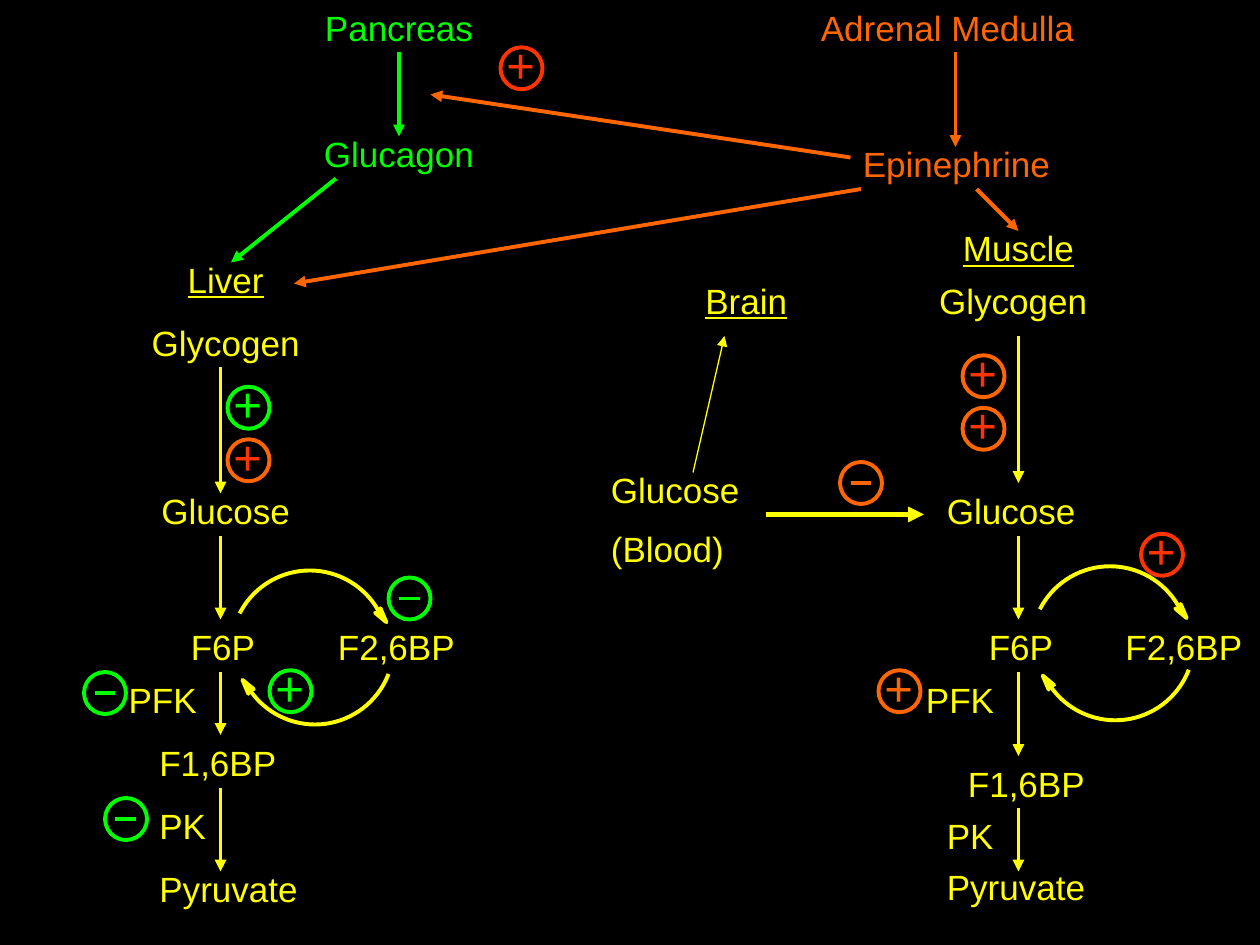
from dataclasses import dataclass
from math import cos, radians, sin
from typing import Any

from pptx import Presentation
from pptx.dml.color import RGBColor
from pptx.enum.shapes import MSO_CONNECTOR, MSO_SHAPE
from pptx.enum.text import PP_ALIGN
from pptx.oxml.ns import qn
from pptx.util import Pt

BLACK = RGBColor(0x00, 0x00, 0x00)
GREEN = RGBColor(0x00, 0xFF, 0x00)
YELLOW = RGBColor(0xFF, 0xFF, 0x00)
ORANGE = RGBColor(0xFF, 0x66, 0x00)
RED = RGBColor(0xFF, 0x33, 0x00)

LEFT, CENTER = PP_ALIGN.LEFT, PP_ALIGN.CENTER
LABEL_HEIGHT = 31
SIGN_SIZE = 24
ARC_RADIUS = 45
# Barbed arrowhead, relative to the end of a clockwise arc heading down
BARB = [(0.3, -3), (3.7, 5), (-2.8, -0.4), (0, 0.2)]


@dataclass
class Region:
    """Part of the slide; every position is relative to its left and top."""
    shapes: Any
    left: float
    top: float

    def at(self, x, y):
        return Pt(self.left + x), Pt(self.top + y)

    def label(self, text, x, y, width, color=YELLOW, align=LEFT, size=20,
              height=LABEL_HEIGHT, underline=None, wrap=True):
        frame = self.shapes.add_textbox(*self.at(x, y), Pt(width), Pt(height)).text_frame
        frame.word_wrap = wrap
        frame.text = text
        for index, paragraph in enumerate(frame.paragraphs):
            paragraph.alignment = align
            if index:
                paragraph.space_before = Pt(size / 2)
            font = paragraph.runs[0].font
            font.name, font.size, font.underline = "Arial", Pt(size), underline
            font.color.rgb = color

    def line(self, start, end, color=YELLOW, width=2.25):
        connector = self.shapes.add_connector(
            MSO_CONNECTOR.STRAIGHT, *self.at(*start), *self.at(*end))
        connector.line.color.rgb = color
        connector.line.width = Pt(width)
        properties = connector._element.spPr
        properties.append(properties.makeelement(qn("a:effectLst"), {}))
        return connector

    def arrow(self, start, end, color=YELLOW, width=2.25):
        outline = self.line(start, end, color, width).line._get_or_add_ln()
        outline.append(outline.makeelement(qn("a:tailEnd"), {"type": "triangle"}))

    def down_arrows(self, x, spans):
        for start, end in spans:
            self.arrow((x, start), (x, end))

    def outlined(self, kind, x, y, size, color):
        shape = self.shapes.add_shape(kind, *self.at(x, y), Pt(size), Pt(size))
        shape.shadow.inherit = False
        shape.fill.background()
        shape.line.color.rgb = color
        shape.line.width = Pt(2.25)
        return shape

    def plus(self, x, y, color, ring=None):
        self.label("+", x - 4, y - 11, 31, color, CENTER, size=28, height=41, wrap=False)
        self.outlined(MSO_SHAPE.OVAL, x, y, SIGN_SIZE, ring or color)

    def minus(self, x, y, color):
        middle = y + SIGN_SIZE / 2
        self.line((x + 6, middle), (x + 18, middle), color)
        self.outlined(MSO_SHAPE.OVAL, x, y, SIGN_SIZE, color)

    def curved_arrow(self, x, y, start, end, direction):
        """Clockwise arc about (x, y) between two angles; direction -1 turns the head over."""
        arc = self.outlined(MSO_SHAPE.ARC, x - ARC_RADIUS, y - ARC_RADIUS,
                            2 * ARC_RADIUS, YELLOW)
        for index, angle in enumerate((start, end)):
            arc.adjustments[index] = angle * 0.6  # 60000ths of a degree over 100000

        tip_x = x + ARC_RADIUS * cos(radians(end))
        tip_y = y + ARC_RADIUS * sin(radians(end))
        first, *others = [self.at(tip_x + direction * dx, tip_y + direction * dy)
                          for dx, dy in BARB]
        builder = self.shapes.build_freeform(*first)
        builder.add_line_segments(others, close=True)
        head = builder.convert_to_shape()
        head.shadow.inherit = False
        head.fill.solid()
        head.fill.fore_color.rgb = BLACK
        head.line.color.rgb = YELLOW
        head.line.width = Pt(2.25)

    def cycle(self, x, y):
        """Pair of curved arrows between F6P and F2,6BP."""
        self.curved_arrow(x, y, 207, 333, 1)
        self.curved_arrow(x + 3, y - 2, 21, 147, -1)


def hormones(region):
    region.label("Pancreas", 30, 0, 156, GREEN, CENTER)
    region.label("Glucagon", 54, 72, 108, GREEN, CENTER)
    region.label("Adrenal Medulla", 342, 0, 168, ORANGE)
    region.label("Epinephrine", 366, 78, 180, ORANGE)
    for start, end, color in [
        ((108, 30), (108, 78), GREEN),
        ((72, 102), (12, 150), GREEN),
        ((426, 30), (426, 84), ORANGE),
        ((372, 108), (48, 162), ORANGE),
        ((366, 90), (126, 54), ORANGE),
        ((438, 108), (462, 132), ORANGE),
    ]:
        region.arrow(start, end, color)
    region.plus(166, 27, RED)


def liver(region):
    region.label("Liver", 0, 0, 174, align=CENTER, underline=True)
    region.label("Glycogen", 0, 36, 174, align=CENTER)
    region.label("Glucose", 30, 132, 114, align=CENTER)
    region.label("PFK", 24, 240, 54, align=CENTER)
    for text, x, y, width in [
        ("F6P", 60, 210, 72), ("F2,6BP", 144, 210, 96), ("F1,6BP", 42, 276, 96),
        ("PK", 42, 312, 42), ("Pyruvate", 42, 348, 132),
    ]:
        region.label(text, x, y, width)
    region.down_arrows(84, [(66, 138), (162, 210), (240, 276), (306, 354)])
    region.cycle(135, 227)
    region.plus(88, 77, GREEN)
    region.plus(88, 107, RED, ring=ORANGE)
    region.plus(112, 239, GREEN)
    for x, y in [(6, 240), (18, 312), (180, 186)]:
        region.minus(x, y, GREEN)


def blood_and_brain(region):
    region.label("Brain", 54, 0, 108, underline=True)
    region.label("Glucose\n(Blood)", 0, 108, 90, height=67)
    region.arrow((54, 114), (72, 36), width=0.75)
    region.arrow((96, 138), (186, 138), width=3)
    region.minus(138, 108, ORANGE)


def muscle(region):
    region.label("Muscle", 12, 0, 132, align=CENTER, underline=True)
    region.label("Glycogen", 0, 30, 150, align=CENTER)
    for text, x, y, width in [
        ("Glucose", 30, 150, 96), ("F6P", 54, 228, 66), ("F2,6BP", 132, 228, 84),
        ("PFK", 18, 258, 54), ("F1,6BP", 42, 306, 96), ("PK", 30, 336, 60),
        ("Pyruvate", 30, 365, 108),
    ]:
        region.label(text, x, y, width)
    region.down_arrows(78, [(66, 150), (180, 228), (258, 306), (336, 372)])
    region.cycle(130.3, 242.6)
    for y in (77, 107):
        region.plus(46, y, RED, ring=ORANGE)
    region.plus(-2, 257, ORANGE)
    region.plus(148, 179, RED)


def main():
    presentation = Presentation()
    presentation.slide_width, presentation.slide_height = Pt(720), Pt(540)
    slide = presentation.slides.add_slide(presentation.slide_layouts[6])
    slide.background.fill.solid()
    slide.background.fill.fore_color.rgb = BLACK

    hormones(Region(slide.shapes, 120, 0))
    liver(Region(slide.shapes, 42, 144))
    blood_and_brain(Region(slide.shapes, 342, 156))
    muscle(Region(slide.shapes, 504, 126))
    presentation.save("out.pptx")


if __name__ == "__main__":
    main()
